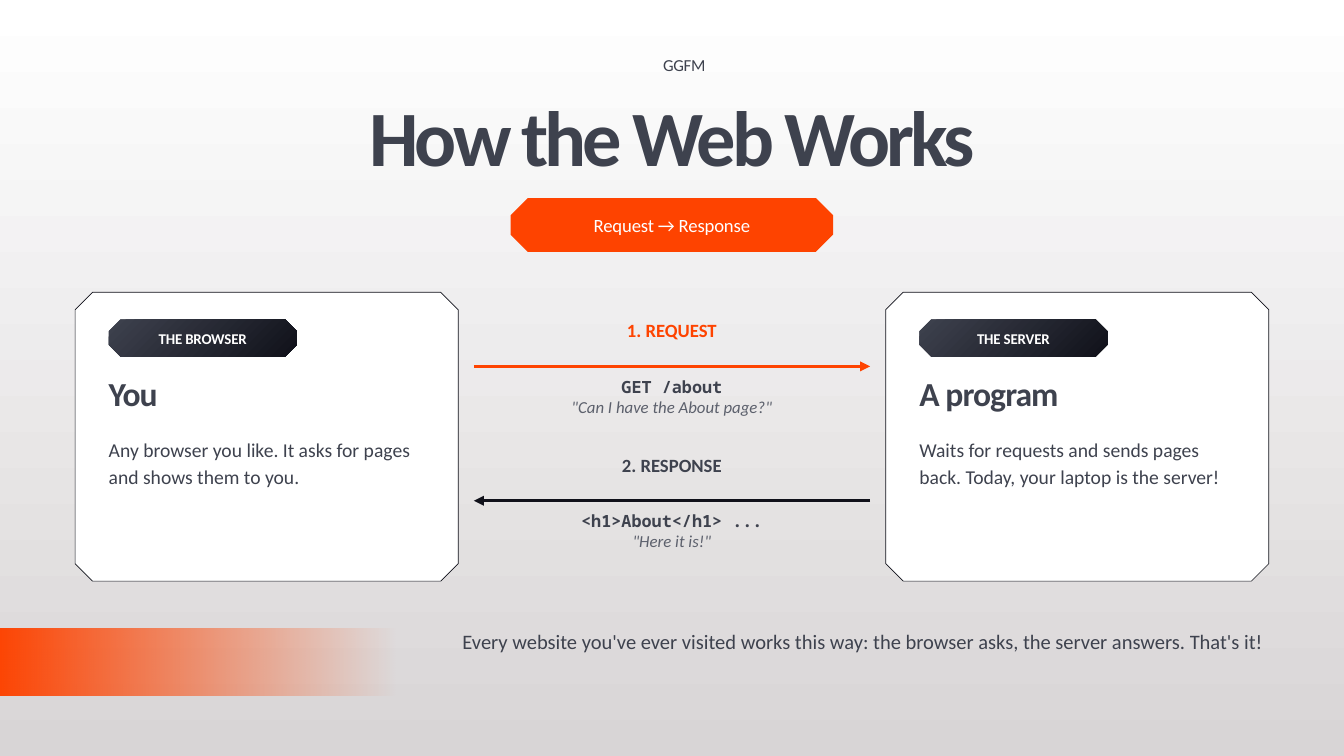
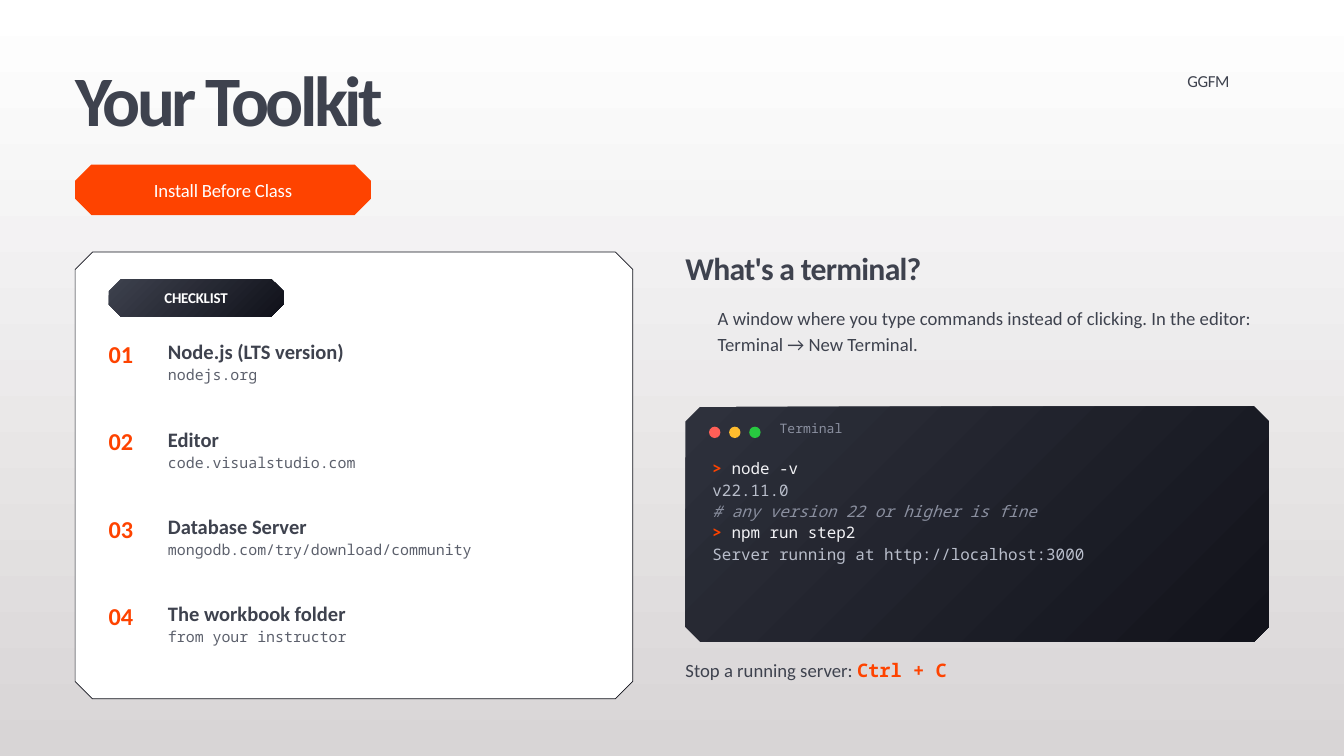
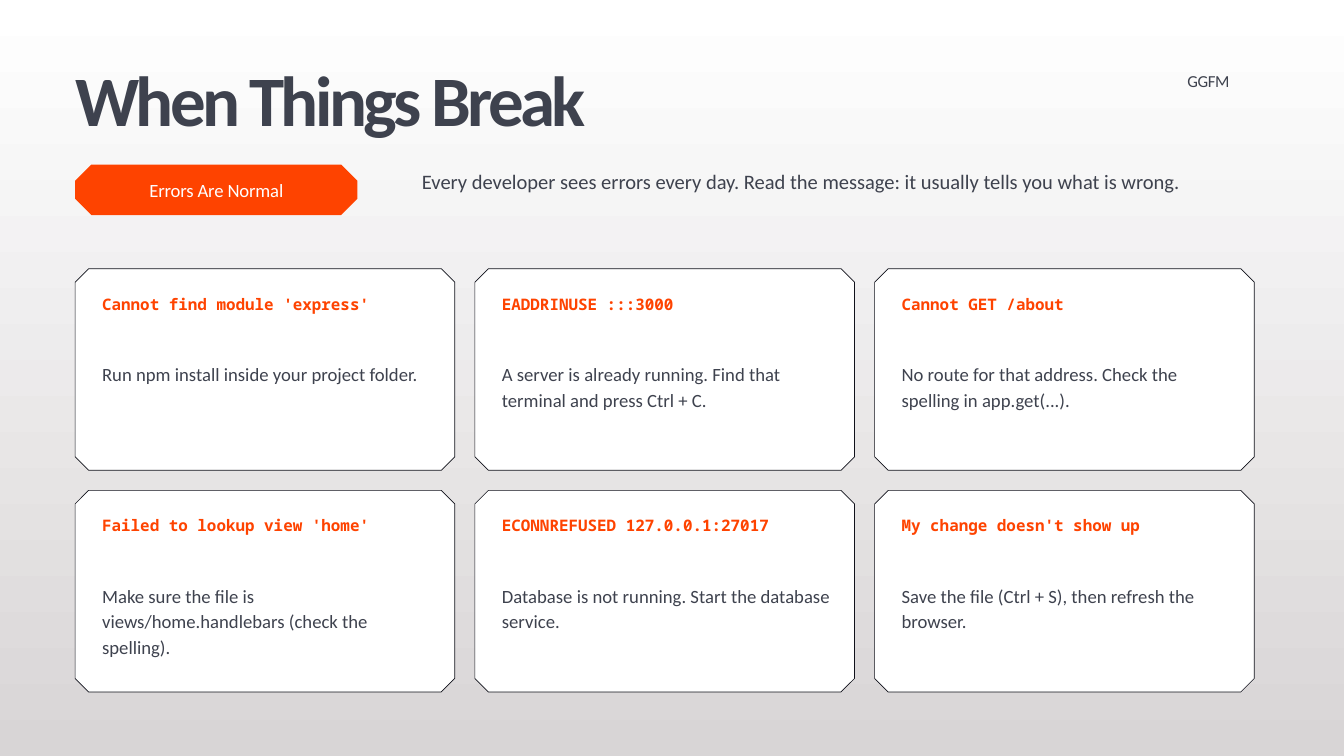
from dataclasses import dataclass

from lxml import etree
from pptx import Presentation
from pptx import util as u
from pptx.dml import color as dml_color
from pptx.enum import shapes, text
from pptx.oxml import ns

# Colours: one hex string is a solid, two are a gradient
INK = ("3E424E", "10111A")
BACKDROP = ("FFFFFF", "D8D5D6")
TERMINAL = ("2E313C", "12131B")
ORANGE = "FE4300"
WHITE = "FFFFFF"
OUTLINE = "10111A"
GREY = "5C606C"
DIM = "8B90A0"
PALE = "B9BECB"
BRIGHT = "F2F2F5"
WINDOW_DOTS = ("FF5F57", "FEBC2E", "28C840")

SANS = "Calibri"
MONO = "Noto Sans Mono"
CENTER = text.PP_ALIGN.CENTER
MARGIN = 2.84
INDENT = 1.27


@dataclass(frozen=True)
class Style:
    size: float
    colors: object = INK
    name: str = SANS
    bold: bool = False
    italic: bool = False
    tracking: float = 0


# Text styles
BRAND = Style(18, tracking=-0.4)
COVER_TITLE = Style(84, bold=True, tracking=-4.2)
TITLE = Style(76, bold=True, tracking=-3.8)
PILL = Style(20, WHITE, tracking=-0.2)
TAG = Style(16, WHITE, bold=True, tracking=-0.2)
CARD_HEADING = Style(36, bold=True, tracking=-1)
SECTION_HEADING = Style(34, bold=True, tracking=-0.8)
LEAD = Style(22)
CARD_BODY = Style(21)
BODY = Style(20)
MESSAGE = Style(18, name=MONO, bold=True)
QUOTE = Style(18, GREY, italic=True)
NUMBER = Style(26, ORANGE, bold=True)
TOOL = Style(22, bold=True)
SOURCE = Style(16, GREY, MONO)
WINDOW_LABEL = Style(14, DIM, MONO)
PROMPT = Style(17, ORANGE, MONO, bold=True)
COMMAND = Style(17, BRIGHT, MONO)
OUTPUT = Style(17, PALE, MONO)
COMMENT = Style(17, DIM, MONO, italic=True)
SHORTCUT = Style(20, ORANGE, MONO, bold=True)


def paint(fill, colors, angle=45):
    """Fill with one hex colour, or with a gradient of two (angle clockwise)."""
    if isinstance(colors, str):
        fill.solid()
        fill.fore_color.rgb = dml_color.RGBColor.from_string(colors)
        return
    fill.gradient()
    fill.gradient_angle = -angle % 360
    for stop, value in zip(fill.gradient_stops, colors):
        stop.color.rgb = dml_color.RGBColor.from_string(value)


def set_font(font, style):
    font.name = style.name
    font.size = u.Pt(style.size)
    font.bold = style.bold
    font.italic = style.italic
    paint(font.fill, style.colors)
    if style.tracking:
        font._element.set("spc", str(round(style.tracking * 100)))


def write(frame, lines, align=None, line_spacing=None, gap=0):
    """Write lines, each a list of (words, style) runs."""
    frame.word_wrap = True
    for index, line in enumerate(lines):
        paragraph = frame.paragraphs[0] if index == 0 else frame.add_paragraph()
        paragraph.alignment = align
        paragraph.line_spacing = line_spacing
        if index and gap:
            paragraph.space_before = u.Pt(gap)
        for words, style in line:
            run = paragraph.add_run()
            run.text = words
            set_font(run.font if len(line) > 1 else paragraph.font, style)


def add_lines(slide, left, top, width, height, lines, **layout):
    box = slide.shapes.add_textbox(u.Cm(left), u.Cm(top), u.Cm(width), u.Cm(height))
    frame = box.text_frame
    frame.margin_left = frame.margin_right = frame.margin_top = frame.margin_bottom = 0
    write(frame, lines, **layout)


def add_text(slide, left, top, width, height, words, style, **layout):
    add_lines(slide, left, top, width, height, [[(words, style)]], **layout)


def finish(shape, colors, outline=None, angle=45):
    shape.shadow.inherit = False
    paint(shape.fill, colors, angle)
    if outline:
        paint(shape.line.fill, outline)
        shape.line.width = u.Pt(0.75)
    else:
        shape.line.fill.background()


def add_cut_box(slide, left, top, width, height, cut, colors, outline=None):
    """Draw a rectangle with four cut corners."""
    right, bottom = left + width, top + height
    corners = [
        (right - cut, top), (right, top + cut),
        (right, bottom - cut), (right - cut, bottom),
        (left + cut, bottom), (left, bottom - cut),
        (left, top + cut), (left + cut, top),
    ]
    points = [(u.Cm(x), u.Cm(y)) for x, y in corners]
    builder = slide.shapes.build_freeform(*points[0])
    builder.add_line_segments(points[1:], close=True)
    shape = builder.convert_to_shape()
    finish(shape, colors, outline)
    return shape


def add_pill(slide, left, top, width, height, words, style, colors):
    shape = add_cut_box(slide, left, top, width, height, 0.32 * height, colors)
    frame = shape.text_frame
    frame.margin_left = frame.margin_right = u.Cm(0.25)
    frame.margin_top = frame.margin_bottom = 0
    frame.vertical_anchor = text.MSO_ANCHOR.MIDDLE
    write(frame, [[(words, style)]], align=CENTER)


def add_card(slide, left, top, width, height, cut=0.66):
    add_cut_box(slide, left, top, width, height, cut, WHITE, OUTLINE)


def add_tag(slide, card_left, card_top, width, words):
    add_pill(slide, card_left + INDENT, card_top + 1.02, width, 1.42, words, TAG, INK)


def add_arrow(slide, start, end, y, color):
    arrow = slide.shapes.add_connector(
        shapes.MSO_CONNECTOR.STRAIGHT, u.Cm(start), u.Cm(y), u.Cm(end), u.Cm(y))
    paint(arrow.line.fill, color)
    arrow.line.width = u.Pt(3.6)
    properties = arrow.element.spPr
    etree.SubElement(properties.find(ns.qn("a:ln")), ns.qn("a:tailEnd"), type="triangle")
    etree.SubElement(properties, ns.qn("a:effectLst"))


def add_slide(presentation, brand_left=44.88, brand_top=2.69):
    slide = presentation.slides.add_slide(presentation.slide_layouts[6])
    paint(slide.background.fill, BACKDROP, angle=90)
    add_text(slide, brand_left, brand_top, 4.06, 1.02, "GGFM", BRAND)
    return slide


def add_header(slide, title, pill, pill_width):
    add_text(slide, MARGIN, 2.41, 30.48, 3.05, title, TITLE, line_spacing=0.92)
    add_pill(slide, MARGIN, 6.22, pill_width, 1.91, pill, PILL, ORANGE)


# Slide 1: request and response
def add_party(slide, left, tag, heading, body):
    top = 11.05
    inner = left + INDENT
    add_card(slide, left, top, 14.48, 10.92)
    add_tag(slide, left, top, 7.11, tag)
    add_text(slide, inner, top + 3.05, 12.19, 2.03, heading, CARD_HEADING)
    add_text(slide, inner, top + 5.33, 12.19, 5.08, body, CARD_BODY, line_spacing=1.18)


def add_exchange(slide, top, label, label_colors, start, end, arrow_color, message, quote):
    left, width = 18.03, 14.73
    label_style = Style(20, label_colors, bold=True)
    add_text(slide, left, top, width, 1.27, label, label_style, align=CENTER)
    add_arrow(slide, start, end, top + 1.78, arrow_color)
    add_lines(slide, left, top + 2.16, width, 2.29,
              [[(message, MESSAGE)], [(quote, QUOTE)]], align=CENTER)


def add_fading_band(slide):
    band = slide.shapes.add_shape(
        shapes.MSO_SHAPE.RECTANGLE, u.Cm(-0.25), u.Cm(23.75), u.Cm(15.24), u.Cm(2.54))
    finish(band, (ORANGE, ORANGE), angle=180)
    first_stop = next(band.element.spPr.iter(ns.qn("a:srgbClr")))
    etree.SubElement(first_stop, ns.qn("a:alpha"), val="0")


def build_web_slide(presentation):
    slide = add_slide(presentation, 25.07, 2.08)
    add_text(slide, 2.54, 3.68, 45.72, 3.3, "How the Web Works", COVER_TITLE,
             align=CENTER, line_spacing=0.92)
    add_pill(slide, 19.3, 7.49, 12.19, 2.03, "Request → Response", PILL, ORANGE)
    add_party(slide, MARGIN, "THE BROWSER", "You",
              "Any browser you like. It asks for pages and shows them to you.")
    add_party(slide, 33.48, "THE SERVER", "A program",
              "Waits for requests and sends pages back. Today, your laptop is the server!")
    browser_side, server_side = 17.91, 32.89
    add_exchange(slide, 12.07, "1. REQUEST", ORANGE, browser_side, server_side, ORANGE,
                 "GET /about", '"Can I have the About page?"')
    add_exchange(slide, 17.15, "2. RESPONSE", INK, server_side, browser_side, OUTLINE,
                 "<h1>About</h1> ...", '"Here it is!"')
    add_fading_band(slide)
    add_text(slide, 17.48, 23.62, 30.53, 3.3,
             "Every website you've ever visited works this way: "
             "the browser asks, the server answers. That's it!",
             LEAD, line_spacing=1.18)


# Slide 2: checklist and terminal
def add_checklist(slide, tools):
    top = 9.53
    add_card(slide, MARGIN, top, 21.08, 16.89)
    add_tag(slide, MARGIN, top, 6.6, "CHECKLIST")
    for index, (tool, source) in enumerate(tools):
        y = 12.83 + 3.3 * index
        add_text(slide, MARGIN + INDENT, y, 2.03, 1.52, f"{index + 1:02}", NUMBER)
        add_lines(slide, 6.35, y, 17.02, 3.05, [[(tool, TOOL)], [(source, SOURCE)]], gap=2)


def add_terminal(slide, left, lines):
    add_cut_box(slide, left, 15.37, 22.05, 8.89, 0.56, TERMINAL)
    for index, color in enumerate(WINDOW_DOTS):
        dot = slide.shapes.add_shape(
            shapes.MSO_SHAPE.OVAL, u.Cm(left + 0.89 + 0.76 * index), u.Cm(16.13),
            u.Cm(0.43), u.Cm(0.43))
        finish(dot, color)
    add_text(slide, left + 3.56, 15.88, 17.48, 1.02, "Terminal", WINDOW_LABEL)
    add_lines(slide, left + 1.02, 17.27, 20.02, 6.6, lines, line_spacing=1.12)


def build_toolkit_slide(presentation):
    slide = add_slide(presentation)
    add_header(slide, "Your Toolkit", "Install Before Class", 11.18)
    add_checklist(slide, [
        ("Node.js (LTS version)", "nodejs.org"),
        ("Editor", "code.visualstudio.com"),
        ("Database Server", "mongodb.com/try/download/community"),
        ("The workbook folder", "from your instructor"),
    ])
    left = 25.91
    add_text(slide, left, 9.4, 22.1, 1.78, "What's a terminal?", SECTION_HEADING)
    add_text(slide, 27.13, 11.43, 20.88, 3.56,
             "A window where you type commands instead of clicking. "
             "In the editor: Terminal → New Terminal.", BODY, line_spacing=1.18)
    add_terminal(slide, left, [
        [("> ", PROMPT), ("node -v", COMMAND)],
        [("v22.11.0", OUTPUT)],
        [("# any version 22 or higher is fine", COMMENT)],
        [("> ", PROMPT), ("npm run step2", COMMAND)],
        [("Server running at http://localhost:3000", OUTPUT)],
    ])
    add_lines(slide, left, 24.89, 22.1, 1.52,
              [[("Stop a running server: ", BODY), ("Ctrl + C", SHORTCUT)]])


# Slide 3: grid of errors
def build_errors_slide(presentation):
    slide = add_slide(presentation)
    add_header(slide, "When Things Break", "Errors Are Normal", 10.67)
    add_text(slide, 15.95, 6.22, 31.8, 3.05,
             "Every developer sees errors every day. "
             "Read the message: it usually tells you what is wrong.",
             LEAD, line_spacing=1.18)
    errors = [
        ("Cannot find module 'express'", "Run npm install inside your project folder."),
        ("EADDRINUSE :::3000",
         "A server is already running. Find that terminal and press Ctrl + C."),
        ("Cannot GET /about",
         "No route for that address. Check the spelling in app.get(...)."),
        ("Failed to lookup view 'home'",
         "Make sure the file is views/home.handlebars (check the spelling)."),
        ("ECONNREFUSED 127.0.0.1:27017",
         "Database is not running. Start the database service."),
        ("My change doesn't show up",
         "Save the file (Ctrl + S), then refresh the browser."),
    ]
    width, height, gap = 14.35, 7.62, 0.76
    for index, (error, remedy) in enumerate(errors):
        row, column = divmod(index, 3)
        left = MARGIN + column * (width + gap)
        top = 10.16 + row * (height + gap)
        add_card(slide, left, top, width, height, cut=0.51)
        add_text(slide, left + 1.02, top + 0.89, 12.45, 2.54, error, PROMPT,
                 line_spacing=1.1)
        add_text(slide, left + 1.02, top + 3.43, 12.45, 3.81, remedy, BODY,
                 line_spacing=1.15)


def main():
    presentation = Presentation()
    presentation.slide_width = u.Cm(50.8)
    presentation.slide_height = u.Cm(28.58)
    build_web_slide(presentation)
    build_toolkit_slide(presentation)
    build_errors_slide(presentation)
    presentation.save("out.pptx")


if __name__ == "__main__":
    main()
